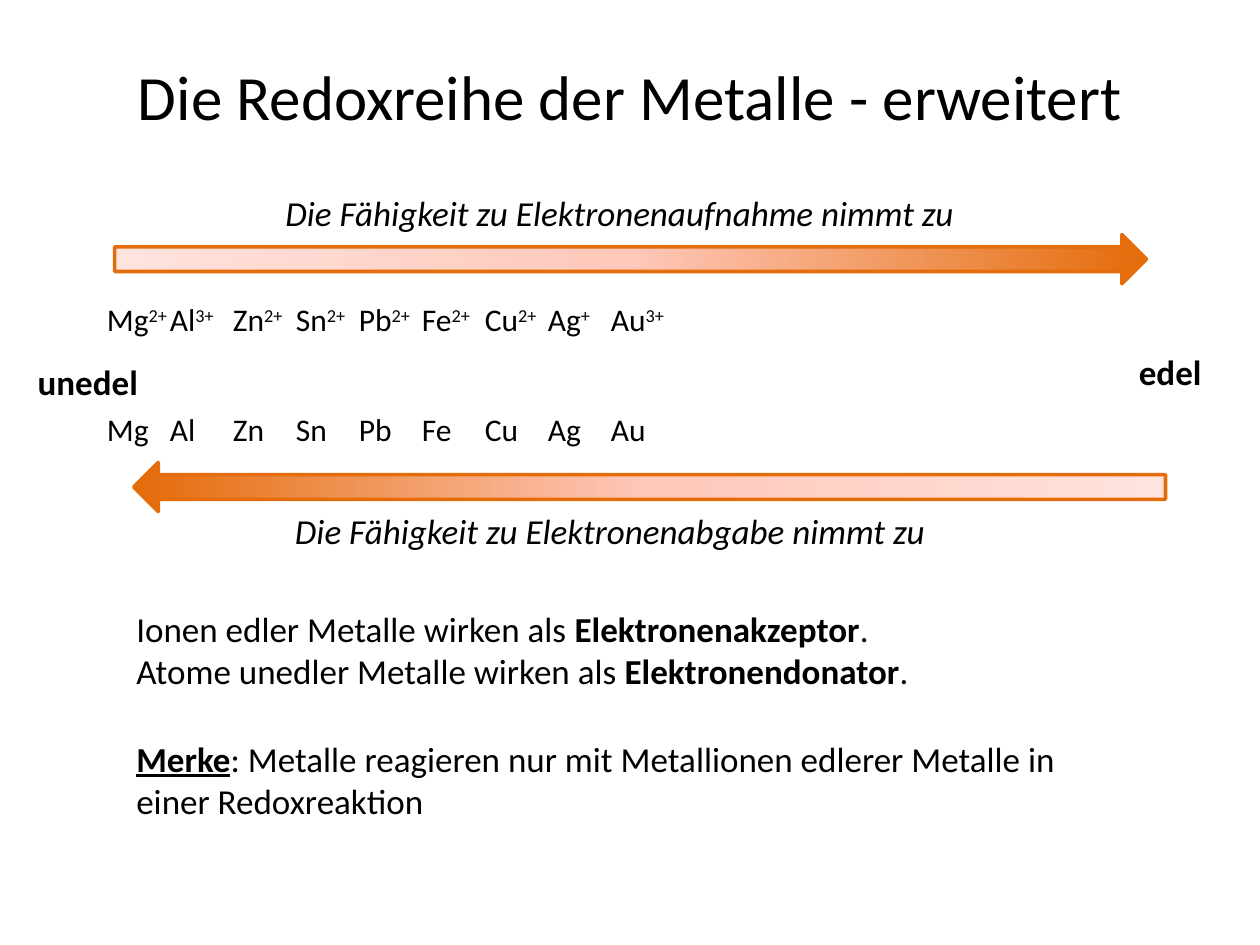
import copy

import pptx
import pptx.dml.color
import pptx.enum.shapes
import pptx.enum.text
import pptx.util

Pt = pptx.util.Pt
ORANGE = "E46C0A"


def rgb(value):
    return pptx.dml.color.RGBColor.from_string(value)


def add_text(box, paragraphs, size, align="LEFT", anchor="TOP"):
    """Add a text box; each paragraph lists (text, styles), with b, i, u or ^ (superscript) as styles."""
    frame = slide.shapes.add_textbox(*[Pt(length) for length in box]).text_frame
    frame.word_wrap = True
    frame.vertical_anchor = pptx.enum.text.MSO_ANCHOR[anchor]
    for index, runs in enumerate(paragraphs):
        paragraph = frame.add_paragraph() if index else frame.paragraphs[0]
        paragraph.alignment = pptx.enum.text.PP_ALIGN[align]
        for text, styles in runs:
            run = paragraph.add_run()
            run.text = text
            run.font.name = "Calibri"
            run.font.size = Pt(size)
            run.font.color.rgb = rgb("000000")
            run.font.bold = "b" in styles
            run.font.italic = "i" in styles
            run.font.underline = "u" in styles
            if "^" in styles:
                run._r.get_or_add_rPr().set("baseline", "30000")


presentation = pptx.Presentation()
presentation.slide_width = Pt(720)
presentation.slide_height = Pt(540)
slide = presentation.slides.add_slide(presentation.slide_layouts[6])

add_text((36, 9.4, 648, 90), [[("Die Redoxreihe der Metalle - erweitert", "")]],
         36, "CENTER", "MIDDLE")
add_text((14.4, 202.5, 85, 31.5), [[("unedel", "b")]], 20)
add_text((643.7, 196.5, 60, 31.5), [[("edel", "b")]], 20)

# Arrows: the lower one is turned to point left
for left, top, rotation in ((65.5, 134, 0), (76.3, 264.2, 180)):
    arrow = slide.shapes.add_shape(pptx.enum.shapes.MSO_SHAPE.RIGHT_ARROW,
                                   Pt(left), Pt(top), Pt(589.7), Pt(28.2))
    arrow.rotation = rotation
    arrow.shadow.inherit = False
    arrow.line.color.rgb = rgb(ORANGE)
    arrow.line.width = Pt(2)
    arrow.fill.gradient()
    arrow.fill.gradient_angle = 180
    stop_list = arrow._element.spPr.find(".//" + pptx.oxml.ns.qn("a:gsLst"))
    stop_list.append(copy.deepcopy(stop_list[-1]))
    stops = zip(arrow.fill.gradient_stops, (0, 0.5, 1), (ORANGE, "FFC8BA", "FFE3DD"))
    for stop, position, color in stops:
        stop.position = position
        stop.color.rgb = rgb(color)

# Redox series, one tab stop (72 pt) per metal
metals = [("Mg", "2+"), ("Al", "3+"), ("Zn", "2+"), ("Sn", "2+"), ("Pb", "2+"),
          ("Fe", "2+"), ("Cu", "2+"), ("Ag", "+"), ("Au", "3+")]
ions = []
for index, (symbol, charge) in enumerate(metals):
    ions += [("\t" + symbol if index else symbol, ""), (charge, "^")]
atoms = "\t".join(symbol for symbol, charge in metals)
add_text((54, 168, 641, 29), [ions], 18)
add_text((54, 230.5, 641, 29), [[(atoms, "")]], 18)

add_text((156, 105.8, 448, 31.5),
         [[("Die Fähigkeit zu Elektronenaufnahme nimmt zu", "i")]], 20)
add_text((161.5, 287.5, 448, 31.5),
         [[("Die Fähigkeit zu Elektronenabgabe nimmt zu", "i")]], 20)

add_text((70.8, 343.6, 592.5, 55.7),
         [[("Ionen edler Metalle wirken als ", ""), ("Elektronenakzeptor", "b"), (".", "")],
          [("Atome unedler Metalle wirken als ", ""), ("Elektronendonator", "b"), (".", "")]], 20)
add_text((70.8, 417.6, 572.5, 55.7),
         [[("Merke", "bu"),
           (": Metalle reagieren nur mit Metallionen edlerer Metalle in einer Redoxreaktion", "")]], 20)

presentation.save("out.pptx")
